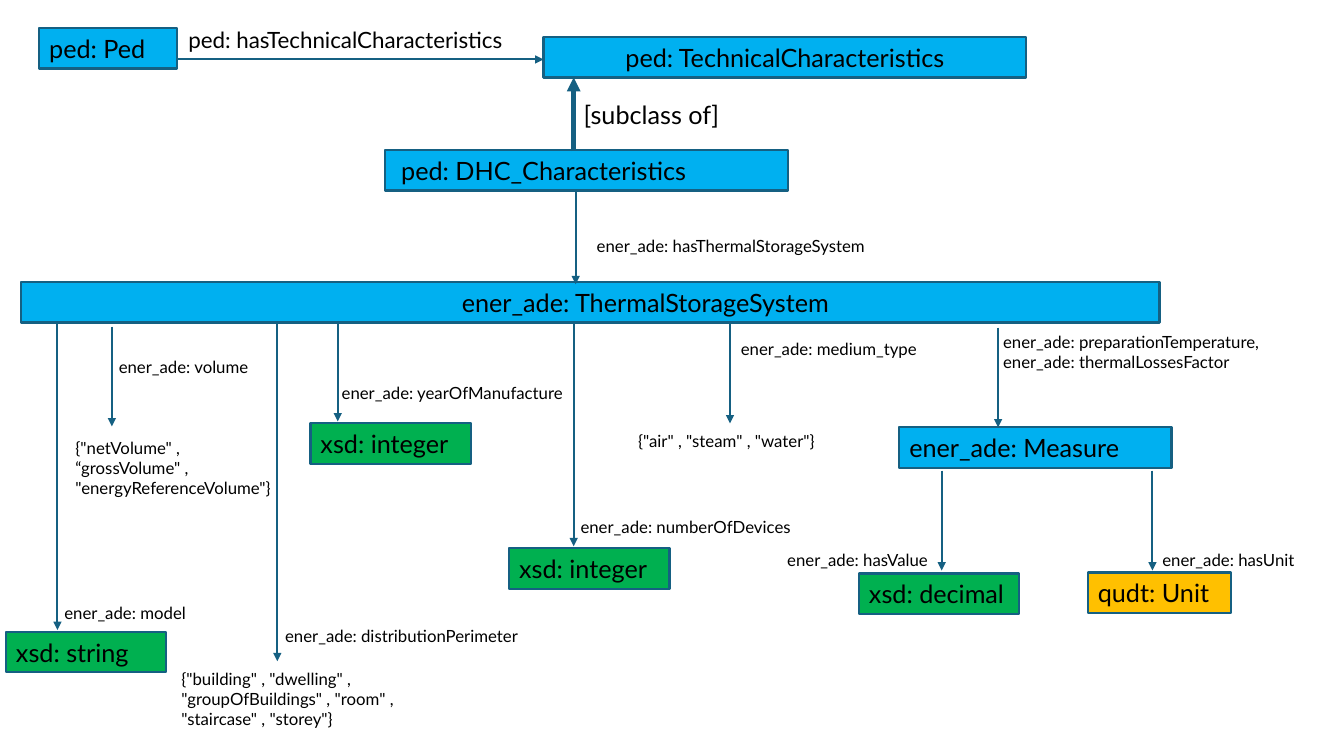
"""Build the thermal storage system ontology diagram slide."""
from lxml import etree
from pptx import Presentation
from pptx.dml.color import RGBColor
from pptx.enum.shapes import MSO_CONNECTOR as CONNECTOR, MSO_SHAPE as SHAPE
from pptx.enum.text import MSO_ANCHOR as ANCHOR, MSO_AUTO_SIZE as AUTO, PP_ALIGN as ALIGN
from pptx.oxml.ns import qn
from pptx.util import Inches, Pt

FONT = "Lato"
BLACK = RGBColor(0x00, 0x00, 0x00)
EDGE = RGBColor(0x15, 0x60, 0x82)
CLASS_BLUE = RGBColor(0x00, 0xB0, 0xF0)
DATATYPE_GREEN = RGBColor(0x00, 0xB0, 0x50)
UNIT_AMBER = RGBColor(0xFF, 0xC0, 0x00)
NODE_HEIGHT = 0.4
DATATYPE_WIDTH = 1.59
INSET = 0.1

# text, left, top, width, fill, left inset, alignment
NODES = [
    ("ped: Ped", 0.39, 0.28, 1.37, CLASS_BLUE, INSET, ALIGN.LEFT),
    ("ped: TechnicalCharacteristics", 5.39, 0.37, 4.79, CLASS_BLUE, INSET, ALIGN.CENTER),
    ("ped: DHC_Characteristics", 3.82, 1.49, 4, CLASS_BLUE, 0.16, ALIGN.LEFT),
    ("ener_ade: ThermalStorageSystem", 0.21, 2.8, 11.29, CLASS_BLUE, 4.37, ALIGN.LEFT),
    ("ener_ade: Measure", 8.92, 4.24, 2.7, CLASS_BLUE, INSET, ALIGN.LEFT),
    ("qudt: Unit", 10.79, 5.68, 1.42, UNIT_AMBER, INSET, ALIGN.LEFT),
]

# text, left, top
DATATYPES = [
    ("xsd: string", 0.06, 6.27),
    ("xsd: integer", 3.08, 4.2),
    ("xsd: integer", 5.05, 5.44),
    ("xsd: decimal", 8.52, 5.69),
]
NODES += [(text, left, top, DATATYPE_WIDTH, DATATYPE_GREEN, INSET, ALIGN.LEFT)
          for text, left, top in DATATYPES]

# text, left, top, width, height, size
RELATIONS = [
    ("ped: hasTechnicalCharacteristics", 1.77, 0.21, 3.44, 0.37, 16),
    ("[subclass of]", 5.69, 0.94, 1.6, 0.4, 18),
]

# text, left, top, width
PROPERTIES = [
    ("ener_ade: hasThermalStorageSystem", 5.82, 2.29, 2.91),
    ("ener_ade: volume", 1.08, 3.49, 6.66),
    ("ener_ade: yearOfManufacture", 3.29, 3.75, 2.51),
    ("ener_ade: medium_type", 7.25, 3.31, 2),
    ("ener_ade: numberOfDevices", 5.66, 5.08, 2.57),
    ("ener_ade: hasValue", 7.71, 5.4, 1.63),
    ("ener_ade: hasUnit", 11.43, 5.4, 1.53),
    ("ener_ade: model", 0.54, 5.93, 2.16),
    ("ener_ade: distributionPerimeter", 2.73, 6.16, 2.54),
    ('{"air" , "steam" , "water"}', 6.23, 4.22, 2.24),
]
RELATIONS += [(*prop, 0.3, 12) for prop in PROPERTIES]

MULTILINE = [
    ("ener_ade: preparationTemperature,\nener_ade: thermalLossesFactor", 9.85, 3.24, 3.11),
    ('{"netVolume" , “grossVolume" , "energyReferenceVolume"}', 0.65, 4.29, 2.24),
    ('{"building" , "dwelling" ,\n"groupOfBuildings" , "room" ,\n"staircase" , "storey"}',
     1.7, 6.58, 2.31),
]
RELATIONS += [(*block, 0.71, 12) for block in MULTILINE]

# x, start y, end y, line width
VERTICAL_ARROWS = [
    (5.69, 1.5, 0.77, 3.25),
    (5.71, 1.9, 2.82, 1.5),
    (0.57, 3.21, 6.25, 1.5),
    (1.11, 3.24, 4.23, 1.5),
    (2.75, 3.2, 6.56, 1.5),
    (3.35, 3.19, 4.18, 1.5),
    (5.69, 3.2, 5.42, 1.5),
    (7.24, 3.21, 4.2, 1.5),
    (9.9, 3.25, 4.24, 1.5),
    (9.34, 4.67, 5.66, 1.5),
    (11.43, 4.67, 5.66, 1.5),
]
ARROWS = [((1.77, 0.59), (5.39, 0.59), 1.5)]
ARROWS += [((x, start), (x, end), width) for x, start, end, width in VERTICAL_ARROWS]


def write(shape, text, size, align=ALIGN.LEFT, inset=INSET):
    frame = shape.text_frame
    frame.text = text
    frame.word_wrap = True
    frame.auto_size = AUTO.SHAPE_TO_FIT_TEXT
    frame.vertical_anchor = ANCHOR.TOP
    frame.margin_left = Inches(inset)
    for paragraph in frame.paragraphs:
        paragraph.alignment = align
        for run in paragraph.runs:
            run.font.name = FONT
            run.font.size = Pt(size)
            run.font.color.rgb = BLACK


def add_node(shapes, text, left, top, width, fill, inset, align):
    node = shapes.add_shape(SHAPE.RECTANGLE, Inches(left), Inches(top),
                            Inches(width), Inches(NODE_HEIGHT))
    node.shadow.inherit = False
    node.fill.solid()
    node.fill.fore_color.rgb = fill
    node.line.color.rgb = EDGE
    node.line.width = Pt(1.5)
    write(node, text, 18, align, inset)


def add_arrow(shapes, start, end, width):
    points = [Inches(value) for value in (*start, *end)]
    arrow = shapes.add_connector(CONNECTOR.STRAIGHT, *points)
    arrow.line.color.rgb = EDGE
    arrow.line.width = Pt(width)
    etree.SubElement(arrow.line._get_or_add_ln(), qn("a:tailEnd"), type="triangle")
    etree.SubElement(arrow._element.spPr, qn("a:effectLst"))


def main():
    deck = Presentation()
    deck.slide_width, deck.slide_height = Inches(13.33), Inches(7.5)
    shapes = deck.slides.add_slide(deck.slide_layouts[6]).shapes
    for node in NODES:
        add_node(shapes, *node)
    for arrow in ARROWS:
        add_arrow(shapes, *arrow)
    for text, left, top, width, height, size in RELATIONS:
        label = shapes.add_textbox(Inches(left), Inches(top), Inches(width), Inches(height))
        write(label, text, size)
    deck.save("out.pptx")


if __name__ == "__main__":
    main()
